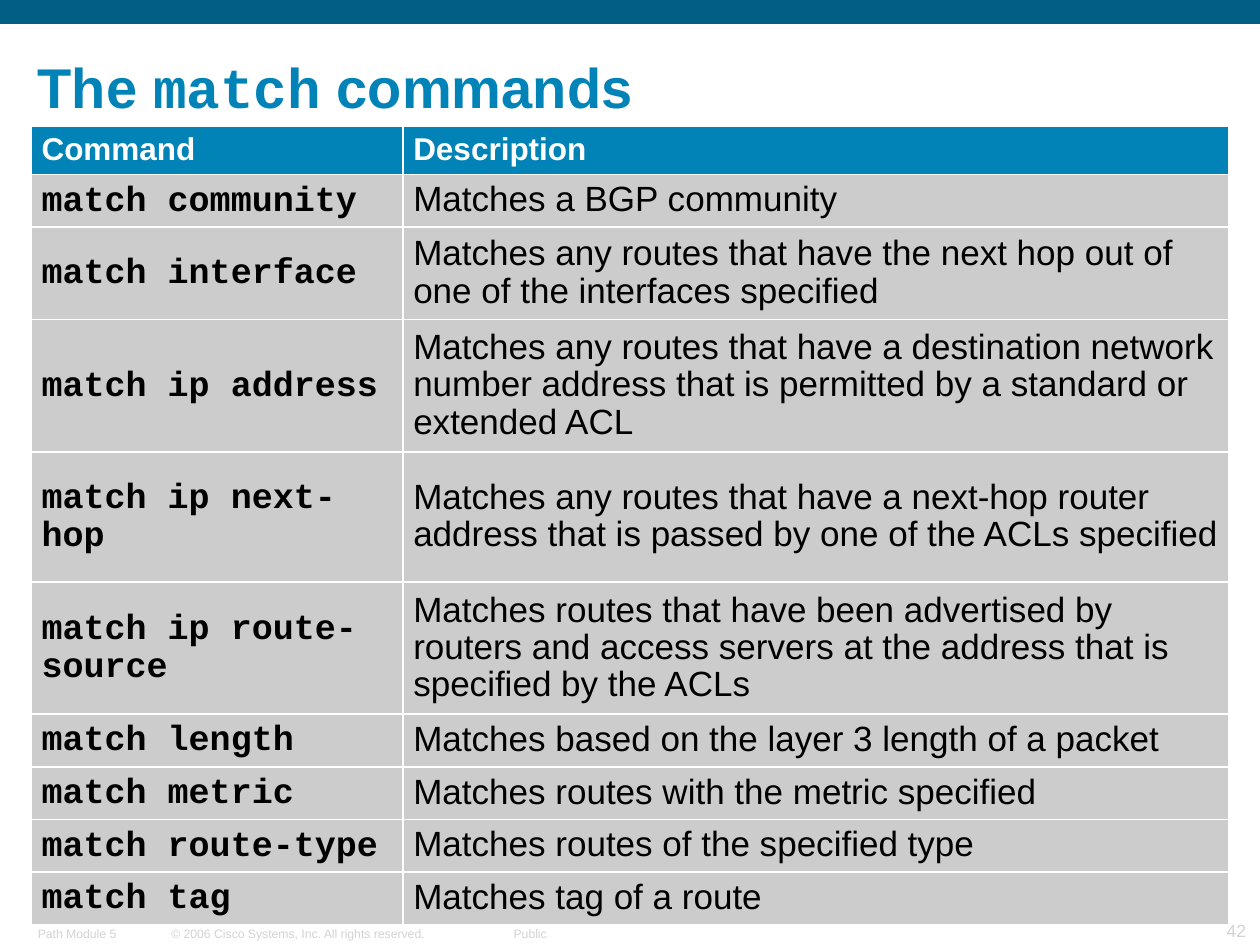
from typing import NamedTuple

from lxml import etree
from pptx import Presentation
from pptx import util as u
from pptx.dml.color import RGBColor
from pptx.enum import shapes, text
from pptx.oxml import ns

WHITE = RGBColor(0xFF, 0xFF, 0xFF)
BLACK = RGBColor(0, 0, 0)
BLUE = RGBColor(0x01, 0x83, 0xB7)
DARK_BLUE = RGBColor(0x01, 0x5F, 0x85)
CELL_GRAY = RGBColor(0xCC, 0xCC, 0xCC)
FOOTER_GRAY = RGBColor(0xD3, 0xD3, 0xD3)
SANS = "Arial"
MONO = "Courier New"


class Style(NamedTuple):
    size: int
    color: RGBColor
    font: str = SANS
    bold: bool = False


class Label(NamedTuple):
    left: float
    top: float
    width: float
    height: float
    spans: list[tuple[str, Style]]
    align: text.PP_ALIGN = text.PP_ALIGN.LEFT
    wrap: bool = True
    spacing: float = 1.0


class Row(NamedTuple):
    height: float
    command: str
    description: str


HEADING = Style(18, WHITE, bold=True)
COMMAND = Style(20, BLACK, MONO, True)
DESCRIPTION = Style(20, BLACK)
TITLE = Style(32, BLUE, bold=True)
TITLE_CODE = TITLE._replace(font=MONO)
FOOTER = Style(7, FOOTER_GRAY)
PAGE_NUMBER = Style(10, FOOTER_GRAY)

LABELS = [
    Label(1.27, 7.3, 2.2, 0.21,
          [("© 2006 Cisco Systems, Inc. All rights reserved.", FOOTER)], wrap=False),
    Label(3.72, 7.3, 0.71, 0.21, [("Norva Public", FOOTER)],
          text.PP_ALIGN.RIGHT, wrap=False),
    Label(0.21, 7.3, 1.05, 0.21, [("Path Module 5", FOOTER)]),
    Label(9.17, 7.25, 0.81, 0.26, [("42", PAGE_NUMBER)],
          text.PP_ALIGN.RIGHT, wrap=False),
    Label(0.21, 0.08, 9.63, 0.92,
          [("The ", TITLE), ("match", TITLE_CODE), (" commands", TITLE)], spacing=0.9),
]

COLUMN_WIDTHS = [2.95, 6.55]
ROWS = [
    Row(0.36, "Command", "Description"),
    Row(0.4, "match community", "Matches a BGP community"),
    Row(0.71, "match interface",
        "Matches any routes that have the next hop out of one of the interfaces specified"),
    Row(1.03, "match ip address",
        "Matches any routes that have a destination network number address "
        "that is permitted by a standard or extended ACL"),
    Row(1.03, "match ip next-hop",
        "Matches any routes that have a next-hop router address "
        "that is passed by one of the ACLs specified"),
    Row(1.03, "match ip route-source",
        "Matches routes that have been advertised by routers and access servers "
        "at the address that is specified by the ACLs"),
    Row(0.4, "match length", "Matches based on the layer 3 length of a packet"),
    Row(0.4, "match metric", "Matches routes with the metric specified"),
    Row(0.4, "match route-type", "Matches routes of the specified type"),
    Row(0.4, "match tag", "Matches tag of a route"),
]


def format_span(span, style: Style) -> None:
    span.font.size = u.Pt(style.size)
    span.font.name = style.font
    span.font.bold = style.bold
    span.font.color.rgb = style.color


def draw_label(page, label: Label) -> None:
    box = page.shapes.add_textbox(*map(u.Inches, label[:4]))
    frame = box.text_frame
    frame.word_wrap = label.wrap
    frame.vertical_anchor = text.MSO_ANCHOR.BOTTOM
    frame.margin_left = frame.margin_right = u.Inches(0.09)
    frame.margin_top = frame.margin_bottom = u.Inches(0.04)
    para = frame.paragraphs[0]
    para.alignment = label.align
    para.line_spacing = label.spacing
    for words, style in label.spans:
        span = para.add_run()
        span.text = words
        format_span(span, style)


def draw_borders(cell, color: RGBColor, width: float) -> None:
    properties = cell._tc.get_or_add_tcPr()
    for side in ("a:lnL", "a:lnR", "a:lnT", "a:lnB"):
        line = etree.SubElement(properties, ns.qn(side), w=str(u.Pt(width)))
        fill = etree.SubElement(line, ns.qn("a:solidFill"))
        etree.SubElement(fill, ns.qn("a:srgbClr"), val=str(color))


def fill_cell(cell, words: str, style: Style, background: RGBColor) -> None:
    draw_borders(cell, WHITE, 1.08)
    cell.fill.solid()
    cell.fill.fore_color.rgb = background
    cell.vertical_anchor = text.MSO_ANCHOR.MIDDLE
    cell.margin_left = cell.margin_right = u.Inches(0.08)
    cell.margin_top = cell.margin_bottom = u.Inches(0.05)
    cell.text_frame.text = words
    para = cell.text_frame.paragraphs[0]
    para.line_spacing = 0.95
    format_span(para.runs[0], style)


def draw_command_table(page) -> None:
    height = sum(row.height for row in ROWS)
    frame = page.shapes.add_table(
        len(ROWS), len(COLUMN_WIDTHS), u.Inches(0.25), u.Inches(1),
        u.Inches(sum(COLUMN_WIDTHS)), u.Inches(height))
    table = frame.table
    for column, width in zip(table.columns, COLUMN_WIDTHS):
        column.width = u.Inches(width)
    for index, row in enumerate(ROWS):
        table.rows[index].height = u.Inches(row.height)
        is_heading = index == 0
        background = BLUE if is_heading else CELL_GRAY
        styles = (HEADING, HEADING) if is_heading else (COMMAND, DESCRIPTION)
        for column, (words, style) in enumerate(zip(row[1:], styles)):
            fill_cell(table.cell(index, column), words, style, background)


def draw_top_band(page) -> None:
    band = page.shapes.add_shape(
        shapes.MSO_SHAPE.RECTANGLE, 0, 0, u.Inches(10), u.Inches(0.19))
    band.shadow.inherit = False
    band.fill.solid()
    band.fill.fore_color.rgb = DARK_BLUE
    band.line.fill.background()


def main() -> None:
    deck = Presentation()
    deck.slide_width = u.Inches(10)
    deck.slide_height = u.Inches(7.5)
    page = deck.slides.add_slide(deck.slide_layouts[6])
    draw_top_band(page)
    for label in LABELS:
        draw_label(page, label)
    draw_command_table(page)
    deck.save("out.pptx")


if __name__ == "__main__":
    main()
